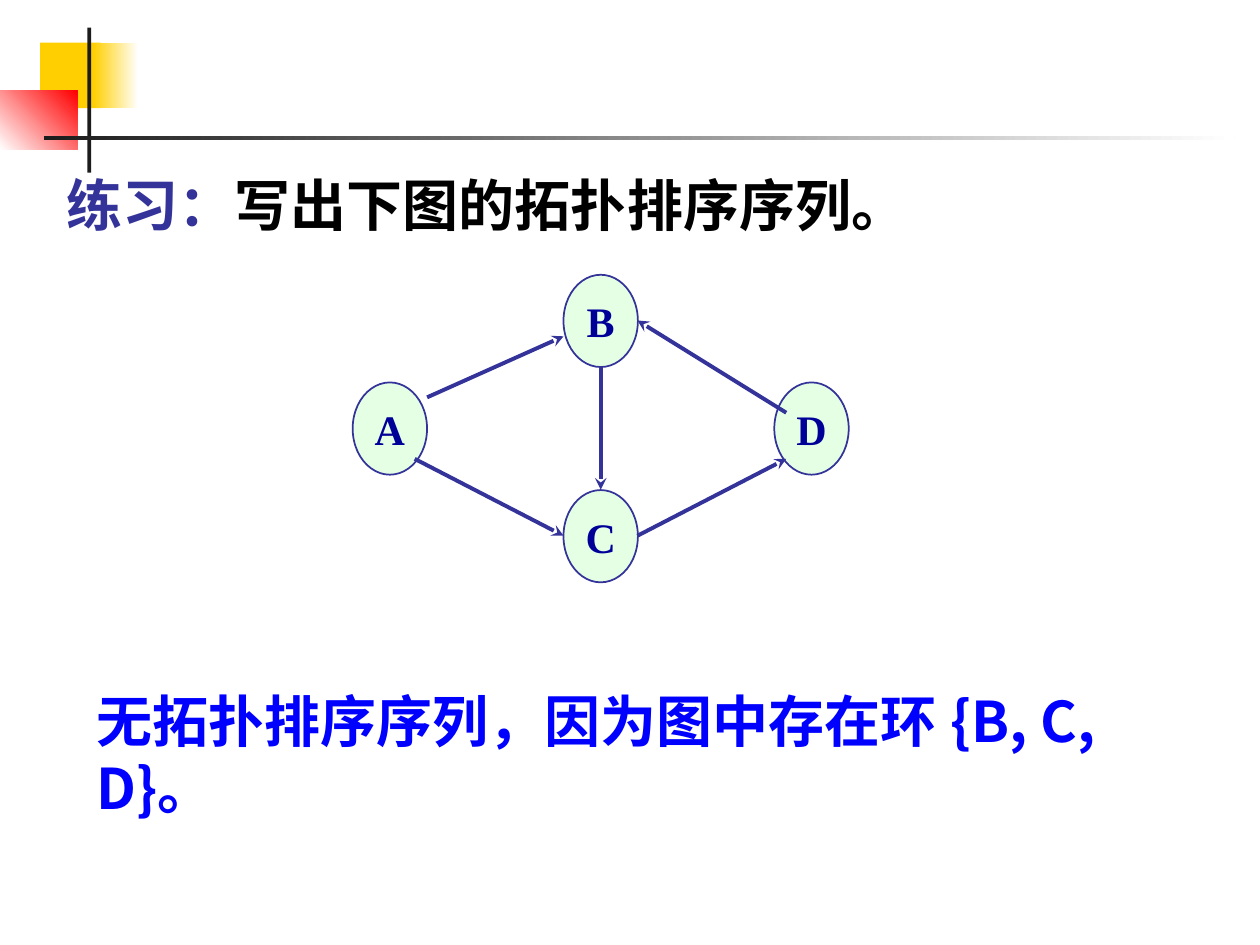
from lxml import etree
from pptx import Presentation
from pptx.dml.color import RGBColor
from pptx.enum.shapes import MSO_CONNECTOR, MSO_SHAPE
from pptx.enum.text import MSO_ANCHOR, MSO_AUTO_SIZE, PP_ALIGN
from pptx.oxml.ns import qn
from pptx.util import Cm, Pt

RECTANGLE = MSO_SHAPE.RECTANGLE
OVAL = MSO_SHAPE.OVAL
STRAIGHT = MSO_CONNECTOR.STRAIGHT
MIDDLE = MSO_ANCHOR.MIDDLE
BOTTOM = MSO_ANCHOR.BOTTOM
TOP = MSO_ANCHOR.TOP
NO_RESIZE = MSO_AUTO_SIZE.NONE
CENTER = PP_ALIGN.CENTER
LEFT = PP_ALIGN.LEFT


def color(value):
    return RGBColor.from_string(value)


class SlideBuilder:
    heading_font = "Noto Sans CJK SC"
    node_font = "Times New Roman"
    accent = "333399"
    node_width = 1.5
    node_height = 1.86

    def __init__(self, slide):
        self.slide = slide

    def set_font(self, paragraph, name, size):
        font = paragraph.font
        font.name = name
        font.size = Pt(size)
        font.bold = True
        properties = paragraph._p.get_or_add_pPr().find(qn("a:defRPr"))
        latin = properties.find(qn("a:latin"))
        east_asian = etree.Element(qn("a:ea"), typeface=name)
        latin.addnext(east_asian)

    def block(self, left, top, width, height, fill, fill_end=None, angle=0):
        shape = self.slide.shapes.add_shape(
            RECTANGLE, Cm(left), Cm(top), Cm(width), Cm(height))
        shape.shadow.inherit = False
        shape.line.fill.background()
        if fill_end is None:
            shape.fill.solid()
            shape.fill.fore_color.rgb = color(fill)
            return
        shape.fill.gradient()
        shape.fill.gradient_angle = angle
        for stop, value in zip(shape.fill.gradient_stops, (fill, fill_end)):
            stop.color.rgb = color(value)

    def node(self, label, left, top):
        shape = self.slide.shapes.add_shape(
            OVAL, Cm(left), Cm(top), Cm(self.node_width), Cm(self.node_height))
        shape.shadow.inherit = False
        shape.fill.solid()
        shape.fill.fore_color.rgb = color("CCFFCC")
        fill_color = shape._element.spPr.find(qn("a:solidFill"))[0]
        etree.SubElement(fill_color, qn("a:alpha"), val="50000")
        shape.line.color.rgb = color(self.accent)
        shape.line.width = Pt(1)
        frame = shape.text_frame
        frame.word_wrap = False
        frame.vertical_anchor = MIDDLE
        paragraph = frame.paragraphs[0]
        paragraph.text = label
        paragraph.alignment = CENTER
        self.set_font(paragraph, self.node_font, 24)
        paragraph.font.color.rgb = color("000099")

    def arrow(self, start, end):
        connector = self.slide.shapes.add_connector(
            STRAIGHT, *(Cm(value) for value in start + end))
        connector.line.color.rgb = color(self.accent)
        connector.line.width = Pt(2.25)
        line = connector.line._get_or_add_ln()
        etree.SubElement(line, qn("a:tailEnd"), type="stealth")
        etree.SubElement(connector._element.spPr, qn("a:effectLst"))

    def text(self, shape, left, top, width, height, runs, anchor, spacing=1):
        shape.left, shape.top = Cm(left), Cm(top)
        shape.width, shape.height = Cm(width), Cm(height)
        frame = shape.text_frame
        frame.word_wrap = True
        frame.auto_size = NO_RESIZE
        frame.vertical_anchor = anchor
        paragraph = frame.paragraphs[0]
        paragraph.alignment = LEFT
        paragraph.line_spacing = spacing
        self.set_font(paragraph, self.heading_font, 32)
        for content, value in runs:
            run = paragraph.add_run()
            run.text = content
            run.font.color.rgb = color(value)

    def title(self, *arguments):
        self.text(self.slide.shapes.title, *arguments)

    def text_box(self, *arguments):
        self.text(self.slide.shapes.add_textbox(0, 0, 0, 0), *arguments)


def main():
    presentation = Presentation()
    presentation.slide_width = Cm(25.4)
    presentation.slide_height = Cm(19.05)
    slide = presentation.slides.add_slide(presentation.slide_layouts[5])
    builder = SlideBuilder(slide)

    builder.block(0.81, 0.86, 1.22, 1.32, "FFCF01")
    builder.block(1.88, 0.86, 0.91, 1.32, "FFCF01", "FFFFFF")
    builder.block(0, 1.83, 1.56, 1.18, "FFFFFF", "FF0000", 45)
    builder.block(1.76, 0.56, 0.08, 2.92, "1C1C1C")
    builder.block(0.89, 2.75, 24, 0.08, "1C1C1C", "FFFFFF")

    graph_left, graph_top = 7.11, 5.54
    column_step, row_step = 4.25, 2.17
    grid = {"B": (1, 0), "D": (2, 1), "A": (0, 1), "C": (1, 2)}
    for label, (column, row) in grid.items():
        builder.node(label, graph_left + column * column_step,
                     graph_top + row * row_step)

    edges = {
        "AB": ((8.61, 8.01), (11.36, 6.78)),
        "AC": ((8.36, 9.25), (11.36, 10.8)),
        "CD": ((12.85, 10.8), (15.85, 9.25)),
        "DB": ((15.85, 8.32), (12.85, 6.46)),
        "BC": ((12.11, 7.38), (12.11, 9.87)),
    }
    for start, end in edges.values():
        builder.arrow(start, end)

    builder.text_box(1.7, 13.72, 22.6, 1.6,
                     [("无拓扑排序序列，因为图中存在环 {B, C, D}。", "0000FF")], TOP)
    builder.title(1.09, 3.33, 22.8, 1.6,
                  [("练习：", builder.accent),
                   ("写出下图的拓扑排序序列。", "000000")], BOTTOM, 1.5)
    presentation.save("out.pptx")


if __name__ == "__main__":
    main()
